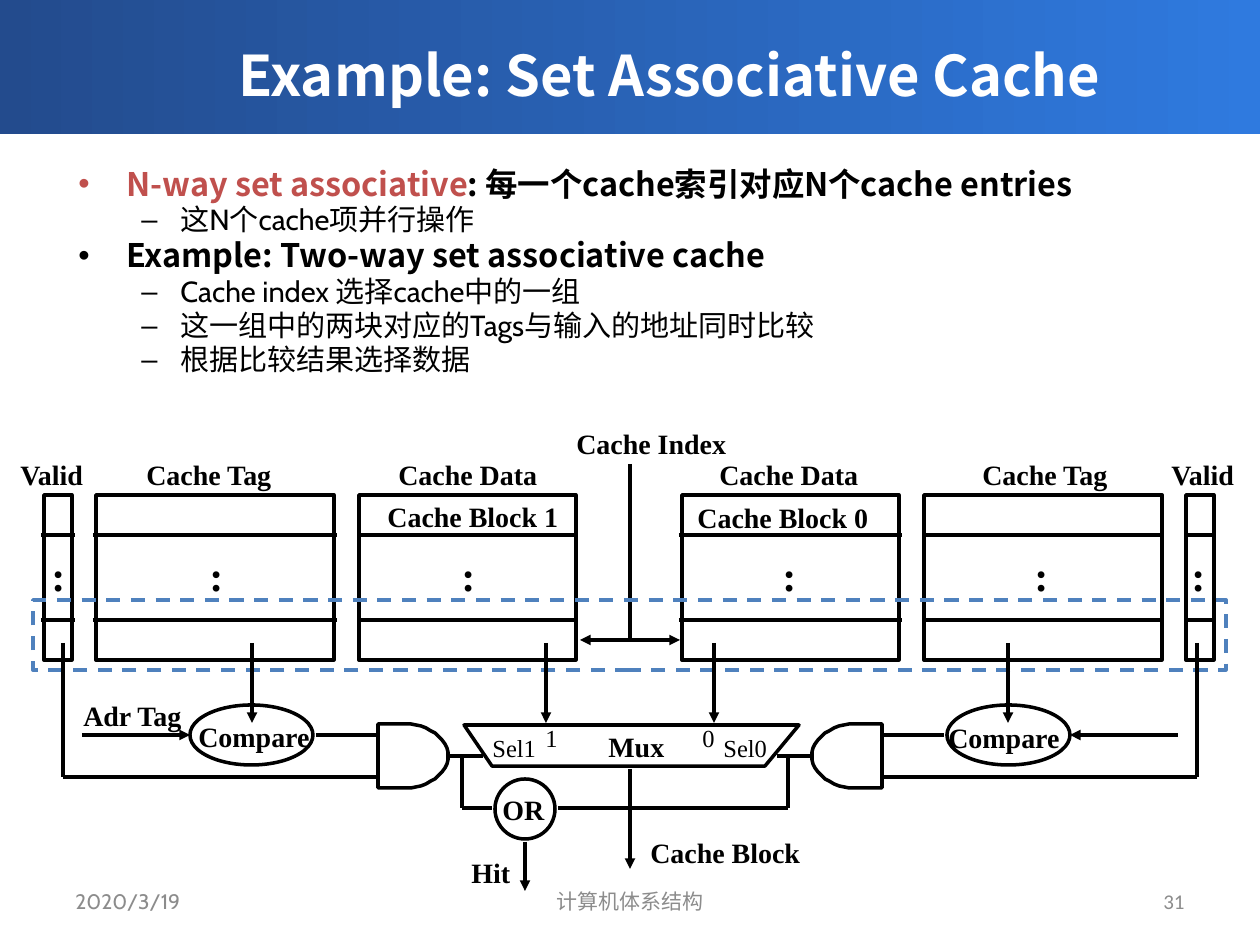
from math import cos, pi, sin
from typing import NamedTuple

from lxml.etree import SubElement
from pptx import Presentation
from pptx.dml.color import RGBColor
from pptx.enum.dml import MSO_LINE_DASH_STYLE as Dash
from pptx.enum.shapes import MSO_CONNECTOR as Link, MSO_SHAPE as Kind
from pptx.enum.text import MSO_ANCHOR as Anchor, MSO_AUTO_SIZE as Fit, PP_ALIGN as Align
from pptx.oxml.ns import qn
from pptx.util import Pt

PX = 914400 / 126
WIDE, HIGH = 1260, 945
SANS, BODY, SERIF = "Noto Sans CJK SC", "Cabin", "Times New Roman"
COLORS = {"black": "000000", "white": "FFFFFF", "red": "C0504D", "blue": "4F81BD",
          "grey": "8C8C8C", "navy": "234B8D", "sky": "2F7ADF"}


class Bank(NamedTuple):
    left: int
    width: int
    over: int  # how far the row lines run past each edge
    name: str
    name_x: int
    name_w: int
    dots_x: int


class Label(NamedTuple):
    text: str
    left: int
    top: int
    width: int
    size: int = 16
    bold: bool = True


class Point(NamedTuple):
    level: int
    words: tuple  # (text, color) pairs


BANKS = [
    Bank(44, 28, 3, "Valid", 8, 88, 39),
    Bank(96, 238, 3, "Cache Tag", 134, 151, 197),
    Bank(359, 217, 0, "Cache Data", 386, 165, 449),
    Bank(682, 217, 3, "Cache Data", 707, 165, 770),
    Bank(924, 238, 0, "Cache Tag", 970, 151, 1022),
    Bank(1186, 28, 0, "Valid", 1159, 88, 1179),
]
LABELS = [
    Label("Cache Block 1", 375, 493, 198), Label("Cache Block 0", 685, 494, 198),
    Label("Cache Index", 564, 420, 176), Label("Mux", 596, 723, 82),
    Label("0", 690, 717, 38, 14, False), Label("1", 533, 717, 38, 14, False),
    Label("Sel1", 480, 727, 69, 14, False), Label("Sel0", 711, 727, 69, 14, False),
    Label("Cache Block", 638, 829, 176), Label("Compare", 186, 713, 137),
    Label("Compare", 936, 714, 137), Label("Adr Tag", 71, 692, 125),
    Label("OR", 490, 786, 68), Label("Hit", 459, 849, 64),
]
POINTS = [
    Point(0, (("N-way set associative", "red"),
              (": 每一个cache索引对应N个cache entries", "black"))),
    Point(1, (("这N个cache项并行操作", "black"),)),
    Point(0, (("Example: Two-way set associative cache", "black"),)),
    Point(1, (("Cache index 选择cache中的一组", "black"),)),
    Point(1, (("这一组中的两块对应的Tags与输入的地址同时比较", "black"),)),
    Point(1, (("根据比较结果选择数据", "black"),)),
]


def px(*sizes: int) -> list:
    return [round(size * PX) for size in sizes]


def rgb(name: str) -> RGBColor:
    return RGBColor.from_string(COLORS[name])


def style(run, size: float, face: str, color: str = "black", bold: bool = False) -> None:
    font = run.font
    font.size, font.name, font.bold = Pt(size), face, bold
    font.color.rgb = rgb(color)
    SubElement(run._r.get_or_add_rPr(), qn("a:ea")).set("typeface", SANS)


def ink(shape, color: str = "black") -> None:
    """Leave the outline only."""
    shape.shadow.inherit = False
    shape.fill.background()
    shape.line.color.rgb = rgb(color)
    shape.line.width = Pt(2)


def outline(slide, kind, left: int, top: int, width: int, height: int, color: str = "black"):
    shape = slide.shapes.add_shape(kind, *px(left, top, width, height))
    ink(shape, color)
    return shape


def wire(slide, x1: int, y1: int, x2: int, y2: int, *ends: str) -> None:
    """Draw a line; ends may hold headEnd and tailEnd, in that order."""
    line = slide.shapes.add_connector(Link.STRAIGHT, *px(x1, y1, x2, y2))
    line.line.color.rgb = rgb("black")
    line.line.width = Pt(2)
    for end in ends:
        SubElement(line.line._get_or_add_ln(), qn(f"a:{end}")).set("type", "triangle")
    SubElement(line._element.spPr, qn("a:effectLst"))


def trace(slide, dots: list) -> None:
    """Draw a closed outline through the dots."""
    pen = slide.shapes.build_freeform(*dots[0], scale=PX)
    pen.add_line_segments(dots[1:], close=True)
    ink(pen.convert_to_shape())


def label(slide, item: Label) -> None:
    box = slide.shapes.add_textbox(*px(item.left, item.top, item.width, item.size * 3))
    frame = box.text_frame
    frame.word_wrap = False
    frame.auto_size = Fit.SHAPE_TO_FIT_TEXT
    frame.text = item.text
    style(frame.paragraphs[0].runs[0], item.size, SERIF, bold=item.bold)


def bank(slide, item: Bank) -> None:
    outline(slide, Kind.RECTANGLE, item.left, 495, item.width, 165)
    for y in (535, 620):
        wire(slide, item.left - item.over, y, item.left + item.width + item.over, y)
    label(slide, Label(item.name, item.name_x, 451, item.name_w))
    label(slide, Label(":", item.dots_x, 543, 39, 24))


def side(slide, flip: bool) -> None:
    """Draw the comparator and the AND gate of one way."""
    def at(x: float) -> float:
        return WIDE - x if flip else x

    outline(slide, Kind.OVAL, 947 if flip else 190, 705, 123, 60)
    wire(slide, at(252), 643, at(252), 723, "tailEnd")
    wire(slide, at(82), 735, at(190), 735, "tailEnd")
    wire(slide, at(316), 735, at(378), 735)
    wire(slide, at(63), 643, at(63), 777)
    wire(slide, at(63), 777, at(378), 777)
    turns = [pi * step / 24 - pi / 2 for step in range(25)]
    arc = [(at(405 + 43 * cos(turn)), 756 + 32 * sin(turn)) for turn in turns]
    trace(slide, [(at(378), 724), *arc, (at(378), 788)])
    wire(slide, at(448), 756, at(483), 756)


def header(slide) -> None:
    band = slide.shapes.add_shape(Kind.RECTANGLE, *px(0, 0, WIDE, 134))
    band.shadow.inherit = False
    band.line.fill.background()
    band.fill.gradient()
    band.fill.gradient_angle = 0
    for stop, color, place in zip(band.fill.gradient_stops, ("navy", "sky"), (0, 1)):
        stop.color.rgb = rgb(color)
        stop.position = place
    slide.shapes._spTree.insert(2, band._element)
    title = slide.shapes.title
    title.left, title.top, title.width, title.height = px(142, 20, 1055, 108)
    title.text_frame.text = "Example: Set Associative Cache"
    title.text_frame.vertical_anchor = Anchor.MIDDLE
    title.text_frame.paragraphs[0].alignment = Align.CENTER
    style(title.text_frame.paragraphs[0].runs[0], 32, SANS, "white", True)


def points(slide) -> None:
    frame = slide.shapes.add_textbox(*px(66, 162, 1134, 256)).text_frame
    frame.word_wrap = True
    for i, item in enumerate(POINTS):
        para = frame.add_paragraph() if i else frame.paragraphs[0]
        para.level = item.level
        para.line_spacing = 0.9
        if i:
            para.space_before = Pt(1.5)
        margin, hang, mark = ((48, 48, "•"), (102, 39, "–"))[item.level]
        props = para._p.get_or_add_pPr()
        props.set("marL", str(px(margin)[0]))
        props.set("indent", str(px(-hang)[0]))
        SubElement(props, qn("a:buFont")).set("typeface", "Arial")
        SubElement(props, qn("a:buChar")).set("char", mark)
        for text, color in item.words:
            run = para.add_run()
            run.text = text
            if item.level:
                style(run, 16.6, BODY, color)
            else:
                style(run, 18.5, SANS, color, True)


def footer(slide, text: str, left: int, width: int, align, face: str = BODY) -> None:
    frame = slide.shapes.add_textbox(*px(left, 876, width, 50)).text_frame
    frame.word_wrap = True
    frame.vertical_anchor = Anchor.MIDDLE
    frame.text = text
    frame.paragraphs[0].alignment = align
    style(frame.paragraphs[0].runs[0], 12, face, "grey")


def main() -> None:
    deck = Presentation()
    deck.slide_width, deck.slide_height = px(WIDE, HIGH)
    slide = deck.slides.add_slide(deck.slide_layouts[5])
    header(slide)
    points(slide)
    footer(slide, "2020/3/19", 63, 294, Align.LEFT)
    footer(slide, "计算机体系结构", 431, 399, Align.CENTER)
    footer(slide, "31", 903, 294, Align.RIGHT, "Calibri")
    for item in BANKS:
        bank(slide, item)
    wire(slide, 630, 464, 630, 639)
    wire(slide, 580, 640, 680, 640, "headEnd", "tailEnd")
    chosen = outline(slide, Kind.RECTANGLE, 33, 600, 1193, 70, "blue")
    chosen.line.dash_style = Dash.DASH
    trace(slide, [(464, 725), (799, 725), (765, 766), (492, 766)])
    for x, top, end in ((546, 643, 723), (714, 643, 723), (630, 769, 869), (525, 842, 891)):
        wire(slide, x, top, x, end, "tailEnd")
    for flip in (False, True):
        side(slide, flip)
    outline(slide, Kind.OVAL, 495, 779, 60, 60)
    for x, rim in ((462, 492), (788, 558)):
        wire(slide, x, 757, x, 808)
        wire(slide, x, 808, rim, 808)
    for item in LABELS:
        label(slide, item)
    deck.save("out.pptx")


if __name__ == "__main__":
    main()
